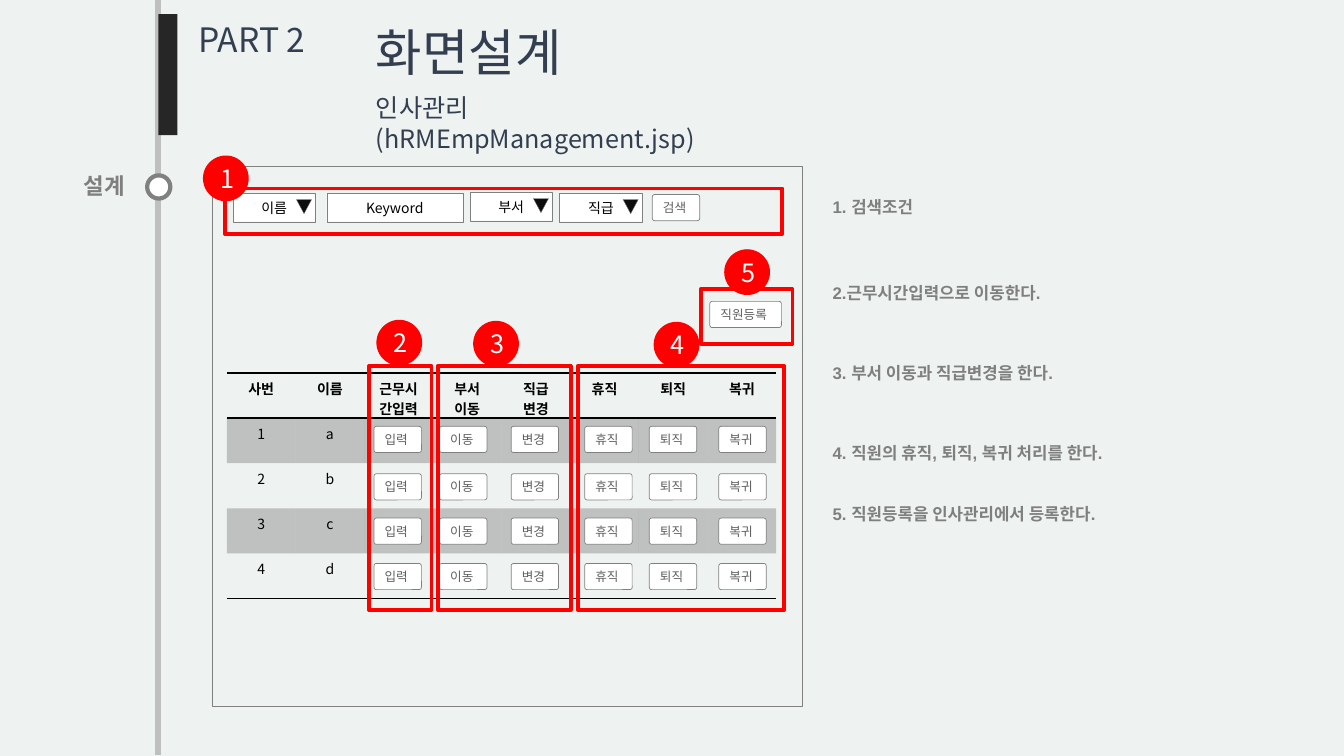
import itertools
from dataclasses import dataclass
from typing import Optional

import lxml.etree
import pptx
import pptx.dml.color
import pptx.enum.shapes
import pptx.enum.text
import pptx.oxml.ns
import pptx.shapes.autoshape
import pptx.slide
import pptx.table
import pptx.text.text
import pptx.util

Color = pptx.dml.color.RGBColor
Inches = pptx.util.Inches
Kind = pptx.enum.shapes.MSO_SHAPE
Align = pptx.enum.text.PP_ALIGN
Fit = pptx.enum.text.MSO_AUTO_SIZE
qn = pptx.oxml.ns.qn

PAPER = Color(0xEE, 0xF2, 0xF0)
WHITE = Color(0xFF, 0xFF, 0xFF)
BLACK = Color(0, 0, 0)
RED = Color(0xFF, 0, 0)
NAVY = Color(0x33, 0x3F, 0x50)
CHARCOAL = Color(0x26, 0x26, 0x26)
ARROW = Color(0x0D, 0x0D, 0x0D)
SILVER = Color(0xBF, 0xBF, 0xBF)
GRAY = Color(0x80, 0x80, 0x80)
NOTE_GRAY = Color(0x7F, 0x7F, 0x7F)
BUTTON_GRAY = Color(0x5F, 0x5F, 0x5F)
KOREAN = "Noto Sans CJK KR"


@dataclass
class Style:
    size: float
    color: Color
    font: str = KOREAN
    bold: bool = False


@dataclass
class Area:
    left: float
    top: float
    width: float
    height: float

    def lengths(self) -> list[int]:
        return [Inches(n) for n in (self.left, self.top, self.width, self.height)]


@dataclass
class Label:
    text: str
    area: Area
    style: Style
    wrap: bool = False
    align: Optional[Align] = None


FIELD = Style(10, BLACK)
HEADER = Style(10, BLACK, bold=True)
BUTTON = Style(9, BUTTON_GRAY, "Karla")
BADGE = Style(18, WHITE)
NOTE = Style(12, NOTE_GRAY, "Arial", True)


def add_span(para: pptx.text.text._Paragraph, text: str, style: Style) -> None:
    span = para.add_run()
    span.text = text
    span.font.size = pptx.util.Pt(style.size)
    span.font.bold = style.bold
    span.font.color.rgb = style.color
    span.font.name = style.font
    lxml.etree.SubElement(span.font._element, qn("a:ea"), typeface=KOREAN)


def add_label(page: pptx.slide.Slide, label: Label) -> pptx.text.text.TextFrame:
    frame = page.shapes.add_textbox(*label.area.lengths()).text_frame
    frame.word_wrap = label.wrap
    frame.auto_size = Fit.SHAPE_TO_FIT_TEXT
    frame.paragraphs[0].alignment = label.align
    add_span(frame.paragraphs[0], label.text, label.style)
    return frame


def add_figure(page: pptx.slide.Slide, kind: Kind, area: Area, fill: Optional[Color] = None,
               line: Optional[Color] = None, weight: float = 0.25, text: str = "",
               style: Style = FIELD, align: Align = Align.CENTER) -> pptx.shapes.autoshape.Shape:
    figure = page.shapes.add_shape(kind, *area.lengths())
    figure.shadow.inherit = False
    if fill is None:
        figure.fill.background()
    else:
        figure.fill.solid()
        figure.fill.fore_color.rgb = fill
    if line is None:
        figure.line.fill.background()
    else:
        figure.line.color.rgb = line
        figure.line.width = pptx.util.Pt(weight)
    if text:
        figure.text_frame.vertical_anchor = pptx.enum.text.MSO_ANCHOR.MIDDLE
        figure.text_frame.paragraphs[0].alignment = align
        add_span(figure.text_frame.paragraphs[0], text, style)
    return figure


def add_button(page: pptx.slide.Slide, text: str, left: float, top: float, width: float = 0.47) -> None:
    button = add_figure(page, Kind.ROUNDED_RECTANGLE, Area(left, top, width, 0.26),
                        WHITE, GRAY, 0.5, text, BUTTON, Align.LEFT)
    button.adjustments[0] = 0.09
    button.text_frame.word_wrap = False
    button.text_frame.auto_size = Fit.SHAPE_TO_FIT_TEXT


def add_border(cell: pptx.table._Cell, side: str) -> None:
    border = lxml.etree.SubElement(cell._tc.get_or_add_tcPr(), qn(f"a:{side}"), w="12700")
    fill = lxml.etree.SubElement(border, qn("a:solidFill"))
    lxml.etree.SubElement(fill, qn("a:srgbClr"), val=str(BLACK))


def add_staff_table(page: pptx.slide.Slide) -> None:
    headers = ["사번", "이름", "근무시간입력", "부서\n이동", "직급\n변경", "휴직", "퇴직", "복귀"]
    rows = [headers] + [[str(number), name] + [""] * 6 for number, name in enumerate("abcd", 1)]
    area = Area(2.25, 3.7, 5.45, 2.24)
    table = page.shapes.add_table(len(rows), len(headers), *area.lengths()).table
    table.first_row = table.horz_banding = False
    table._tbl.tblPr.find(qn("a:tableStyleId")).text = "{2D5ABB26-0587-4C30-8999-92F81FD0307C}"
    for row, texts in enumerate(rows):
        for column, text in enumerate(texts):
            cell = table.cell(row, column)
            cell.margin_bottom = 0
            if row == 0:
                add_border(cell, "lnT")
            if row in (0, len(rows) - 1):
                add_border(cell, "lnB")
            if row % 2:
                cell.fill.solid()
                cell.fill.fore_color.rgb = BLACK
                shade = cell._tc.tcPr.find(".//" + qn("a:srgbClr"))
                lxml.etree.SubElement(shade, qn("a:alpha"), val="20000")
            else:
                cell.fill.background()
            for index, part in enumerate(text.split("\n") if text else []):
                para = cell.text_frame.add_paragraph() if index else cell.text_frame.paragraphs[0]
                para.alignment = Align.CENTER
                add_span(para, part, FIELD if row else HEADER)


def main() -> None:
    deck = pptx.Presentation()
    deck.slide_width, deck.slide_height = Inches(13.33), Inches(7.5)
    page = deck.slides.add_slide(deck.slide_layouts[6])
    page.background.fill.solid()
    page.background.fill.fore_color.rgb = PAPER

    # Timeline and headings
    rail = page.shapes.add_connector(pptx.enum.shapes.MSO_CONNECTOR.STRAIGHT,
                                     Inches(1.57), 0, Inches(1.57), Inches(7.49))
    rail.line.color.rgb = SILVER
    rail.line.width = pptx.util.Pt(4.5)
    lxml.etree.SubElement(rail._element.spPr, qn("a:effectLst"))
    add_figure(page, Kind.RECTANGLE, Area(1.57, 0.14, 0.19, 1.2), CHARCOAL)
    add_figure(page, Kind.OVAL, Area(1.46, 1.74, 0.23, 0.23), WHITE, GRAY, 3)
    for label in (
        Label("설계", Area(0.71, 1.66, 0.65, 0.37), Style(16, NOTE_GRAY, bold=True), align=Align.CENTER),
        Label("PART 2", Area(1.87, 0.14, 1.27, 0.5), Style(24, NAVY)),
        Label("화면설계", Area(3.63, 0.16, 2.22, 0.71), Style(36, NAVY)),
        Label("인사관리 (hRMEmpManagement.jsp)", Area(3.63, 0.87, 4.31, 0.4), Style(18, NAVY), True),
        Label("1. 검색조건", Area(8.16, 1.9, 4.4, 0.3), NOTE, True),
        Label("2.근무시간입력으로 이동한다.", Area(8.16, 2.76, 4.4, 0.3), NOTE, True),
    ):
        add_label(page, label)

    # Notes 3 to 5 share one box
    notes = add_label(page, Label("3. 부서 이동과 직급변경을 한다.", Area(8.16, 3.55, 4.4, 1.72), NOTE, True))
    for gap, text in ((43, "4. 직원의 휴직, 퇴직, 복귀 처리를 한다."), (29, "5. 직원등록을 인사관리에서 등록한다.")):
        para = notes.add_paragraph()
        para.space_before = pptx.util.Pt(gap)
        add_span(para, text, NOTE)

    # Screen outline and search fields
    add_figure(page, Kind.RECTANGLE, Area(2.11, 1.65, 5.85, 5.36), line=GRAY, weight=0.5)
    add_figure(page, Kind.RECTANGLE, Area(3.24, 1.92, 1.35, 0.28), WHITE, GRAY, text="Keyword")
    for text, left, top in (("이름", 2.31, 1.92), ("부서", 4.66, 1.91), ("직급", 5.55, 1.92)):
        add_figure(page, Kind.RECTANGLE, Area(left, top, 0.82, 0.28), WHITE, GRAY, text=text)
        arrow = add_figure(page, Kind.ISOSCELES_TRIANGLE,
                           Area(left + 0.63, top + 0.06, 0.15, 0.14), ARROW, GRAY)
        arrow.rotation = 180
    add_button(page, "검색", 6.47, 1.93)

    # Staff table with its buttons
    add_staff_table(page)
    columns = (("입력", 3.71), ("이동", 4.36), ("변경", 5.07), ("휴직", 5.8), ("퇴직", 6.44), ("복귀", 7.13))
    for (text, left), top in itertools.product(columns, (4.23, 4.7, 5.14, 5.59)):
        add_button(page, text, left, top)
    add_button(page, "직원등록", 7.04, 2.99, 0.71)

    # Red frames and numbered badges
    callouts = (
        (Area(2.23, 1.87, 5.53, 0.45), 2.02, 1.55),
        (Area(3.66, 3.63, 0.62, 2.42), 3.74, 3.18),
        (Area(4.34, 3.63, 1.32, 2.42), 4.7, 3.19),
        (Area(5.73, 3.63, 2.05, 2.42), 6.49, 3.2),
        (Area(6.95, 2.87, 0.91, 0.54), 7.19, 2.48),
    )
    for number, (area, left, top) in enumerate(callouts, 1):
        add_figure(page, Kind.RECTANGLE, area, line=RED, weight=2.75)
        add_figure(page, Kind.OVAL, Area(left, top, 0.44, 0.44), RED, RED, 1, str(number), BADGE)

    deck.save("out.pptx")


if __name__ == "__main__":
    main()
